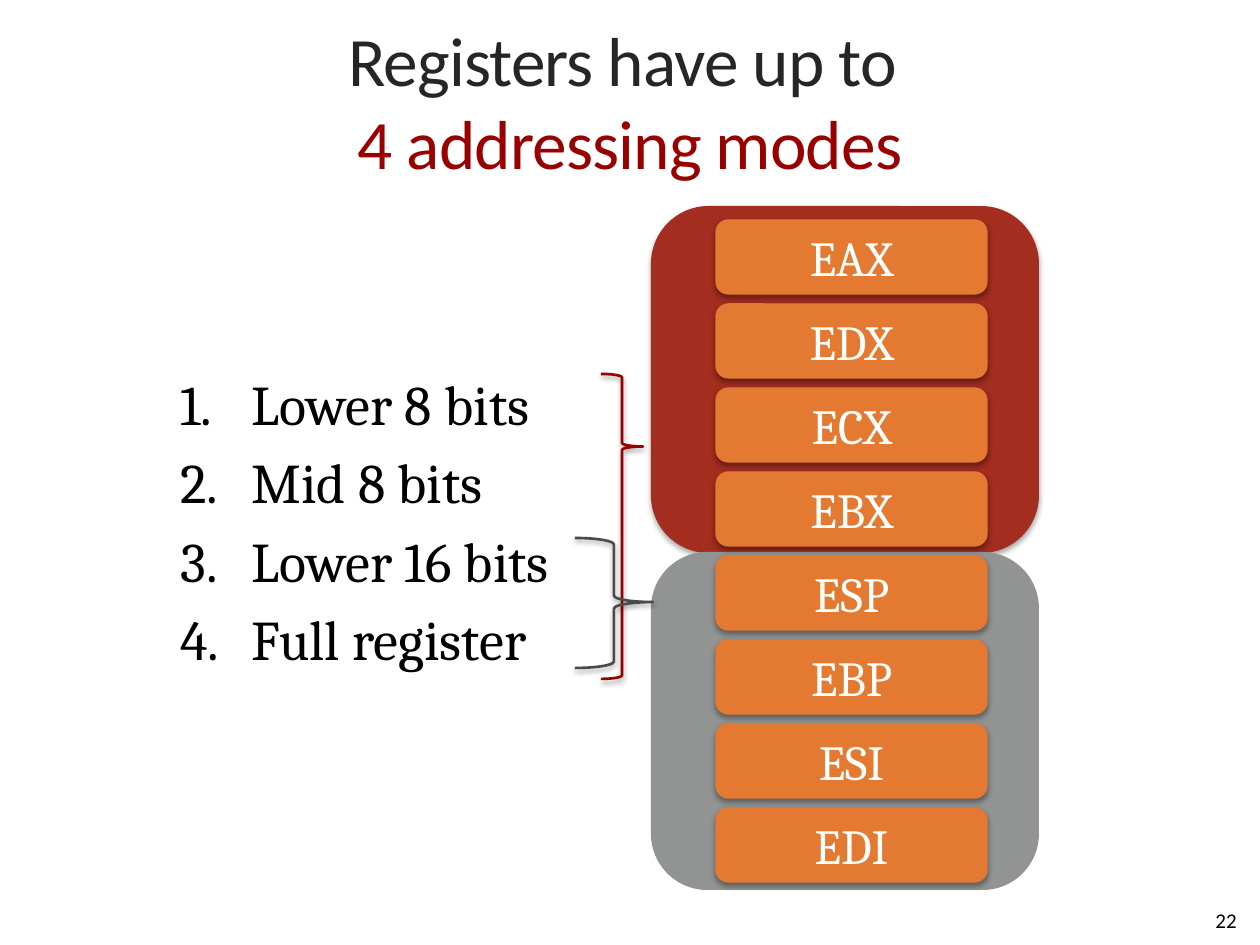
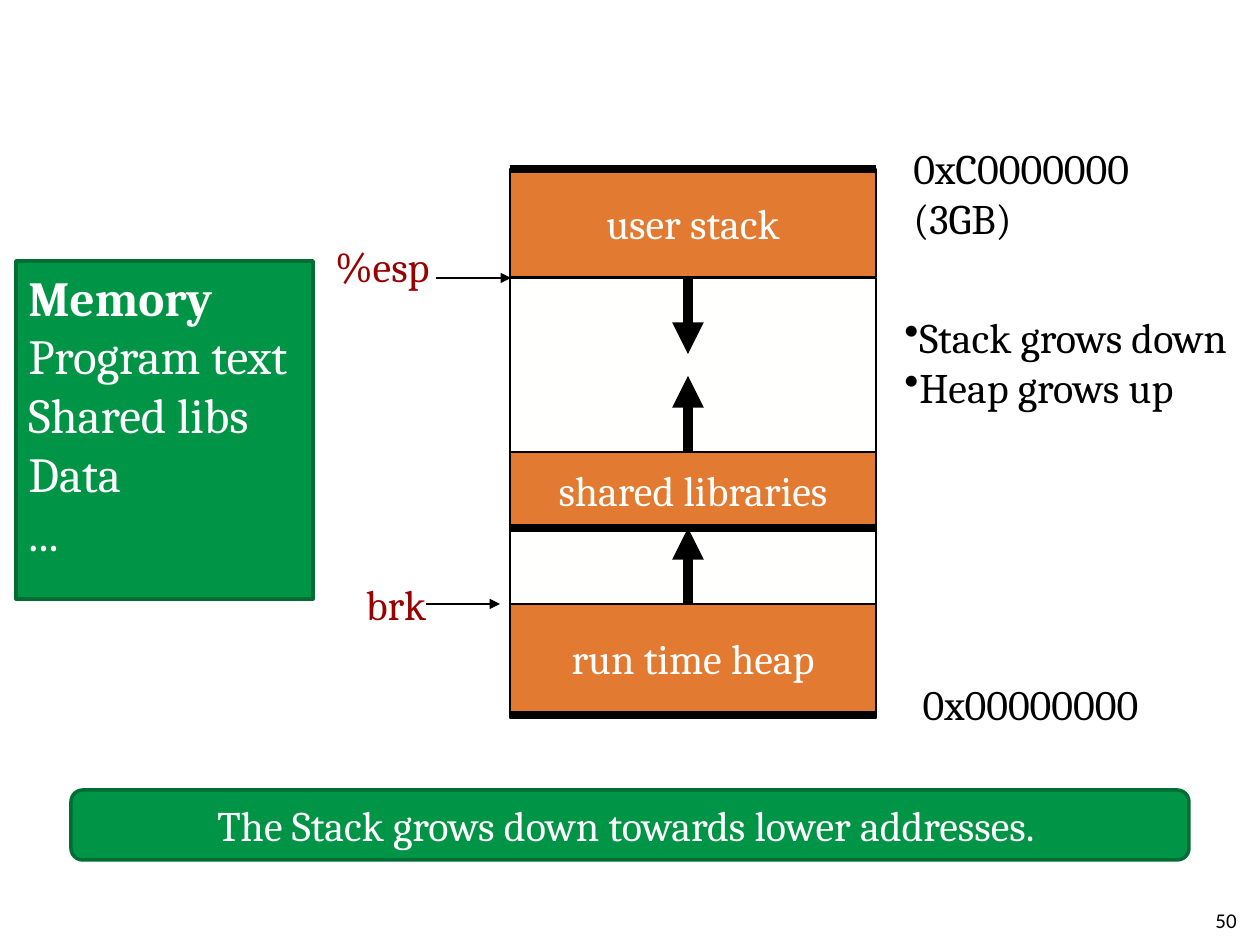
from lxml import etree
from pptx import Presentation
from pptx.dml.color import RGBColor
from pptx.enum.shapes import MSO_CONNECTOR, MSO_SHAPE
from pptx.enum.text import MSO_ANCHOR, PP_ALIGN
from pptx.oxml.ns import qn
from pptx.util import Emu, Pt

EMU_PER_PIXEL = 914400 / 126
SLIDE_SIZE = (1260, 945)

BLACK, WHITE, RED = "000000", "FFFFFE", "990000"
GREEN, DARK_GREEN = "009446", "006D34"
REGISTER_ORANGE, SEGMENT_ORANGE = "E47932", "E27A32"

TITLE = {"name": "Calibri", "size": Pt(39.6), "color": "262626"}
FOOTER = {"name": "Calibri", "size": Pt(12), "color": BLACK}
BODY = {"name": "Cambria", "size": Pt(32), "color": BLACK}
REGISTER = {**BODY, "size": Pt(28), "color": WHITE}
LABEL = {**BODY, "size": Pt(24)}
POINTER = {**LABEL, "color": RED}
SEGMENT = {**LABEL, "color": "FFFFFF"}
BANNER = {**LABEL, "color": WHITE}

MIDDLE = {"vertical_anchor": MSO_ANCHOR.MIDDLE}
CENTER = {"alignment": PP_ALIGN.CENTER}
RIGHT = {"alignment": PP_ALIGN.RIGHT}
GREEN_BOX = {"fill": GREEN, "line": (DARK_GREEN, 2)}

TITLE_RUNS = [("Registers have up to \n", {}), ("4 addressing modes", {"color": RED})]
MODES = ["Lower 8 bits", "Mid 8 bits", "Lower 16 bits", "Full register"]
REGISTERS = ["EAX", "EDX", "ECX", "EBX", "ESP", "EBP", "ESI", "EDI"]
REGISTER_TOP, REGISTER_PITCH = 220, 84
PANELS = [((651, 206, 388, 347), "A32D1F", 35), ((651, 552, 388, 338), "929393", None)]
BRACES = [
    ((601, 374, 42, 305), RED, 0.238, 38),
    ((575, 538, 78, 130), "494A4A", 0.493, 35),
]

MEMORY_LEFT, MEMORY_RIGHT, GROWTH_X = 510, 876, 688
SEGMENTS = [
    ("run time heap", 598, 718),
    ("shared libraries", 452, 528),
    ("user stack", 169, 277),
    ("", 528, 604),
    ("", 278, 452),
]
GROWTH_ARROWS = [(604, 528), (452, 376), (278, 354)]
BORDERS = [(714, 3), (528, 4.5), (169, 4.5)]
ADDRESSES = [
    ("0x00000000", (892, 672, 277, 63), CENTER),
    ("0xC0000000 (3GB)", (901, 136, 276, 115), {}),
]
POINTERS = [
    ("%esp", (314, 234, 137, 63), (436, 278, 511, 278)),
    ("brk", (346, 572, 100, 63), (426, 604, 500, 604)),
]
MEMORY_LINES = [[("Memory", {"bold": True})], "Program text\nShared libs", "Data", "..."]
GROWTH_NOTES = ["Stack grows down", "Heap grows up"]


def px(value):
    return Emu(round(value * EMU_PER_PIXEL))


def color(value):
    return RGBColor.from_string(value)


def set_values(target, values):
    for name, value in values.items():
        setattr(target, name, value)


def format_font(font, values):
    set_values(font, {name: value for name, value in values.items() if name != "color"})
    font.color.rgb = color(values["color"])


def write_text(shape, paragraphs, font, paragraph_format=None, frame_format=None,
               bullet=None, indent=0, gap=0, spacing=None):
    frame = shape.text_frame
    set_values(frame, {"word_wrap": True, "vertical_anchor": MSO_ANCHOR.TOP,
                       **(frame_format or {})})
    for index, content in enumerate(paragraphs):
        paragraph = frame.add_paragraph() if index else frame.paragraphs[0]
        set_values(paragraph, {"alignment": PP_ALIGN.LEFT, **(paragraph_format or {})})
        if index and gap:
            paragraph.space_before = Pt(gap)
        if bullet:
            properties = paragraph._p.get_or_add_pPr()
            properties.set("marL", str(px(indent)))
            properties.set("indent", str(-px(indent)))
            tag, attributes = bullet
            etree.SubElement(properties, qn(tag), attributes)
        runs = [(content, {})] if isinstance(content, str) else content
        for text, changes in runs:
            for piece_index, piece in enumerate(text.split("\n")):
                if piece_index:
                    paragraph.add_line_break()
                if piece:
                    run = paragraph.add_run()
                    run.text = piece
                    format_font(run.font, {**font, **changes})
                    if spacing:
                        run.font._element.set("spc", str(spacing))


def add_text(slide, box, paragraphs, font, **options):
    shape = slide.shapes.add_textbox(*map(px, box))
    write_text(shape, paragraphs, font, **options)
    return shape


def add_shadow(shape, opacity):
    effects = shape._element.spPr.find(qn("a:effectLst"))
    shadow = etree.SubElement(effects, qn("a:outerShdw"), {
        "blurRad": str(Pt(3.1)), "dist": str(Pt(1.8)), "dir": "5400000", "rotWithShape": "0"})
    shade = etree.SubElement(shadow, qn("a:srgbClr"), val=BLACK)
    etree.SubElement(shade, qn("a:alpha"), val=str(opacity * 1000))


def add_box(slide, kind, box, fill=None, line=None, shadow=None):
    shape = slide.shapes.add_shape(kind, *map(px, box))
    shape.shadow.inherit = False
    if fill:
        shape.fill.solid()
        shape.fill.fore_color.rgb = color(fill)
    else:
        shape.fill.background()
    if line:
        shape.line.color.rgb = color(line[0])
        shape.line.width = Pt(line[1])
    else:
        shape.line.fill.background()
    if shadow:
        add_shadow(shape, shadow)
    return shape


def add_line(slide, ends, width, arrow=False):
    connector = slide.shapes.add_connector(MSO_CONNECTOR.STRAIGHT, *map(px, ends))
    connector.line.color.rgb = color(BLACK)
    connector.line.width = Pt(width)
    if arrow:
        etree.SubElement(connector.line._get_or_add_ln(), qn("a:tailEnd"), type="triangle")
    etree.SubElement(connector._element.spPr, qn("a:effectLst"))


def add_slide(presentation, number):
    slide = presentation.slides.add_slide(presentation.slide_layouts[6])
    add_text(slide, (955, 895, 294, 50), [number], FOOTER,
             paragraph_format=RIGHT, frame_format=MIDDLE)
    return slide


def build_registers(presentation):
    slide = add_slide(presentation, "22")
    for box, fill, shadow in PANELS:
        add_box(slide, MSO_SHAPE.ROUNDED_RECTANGLE, box, fill, shadow=shadow)
    add_text(slide, (63, 21, 1134, 158), [TITLE_RUNS], TITLE, paragraph_format=CENTER,
             frame_format={**MIDDLE, "margin_left": 0, "margin_right": 0}, spacing=-50)
    add_text(slide, (168, 363, 1029, 466), MODES, BODY,
             bullet=("a:buAutoNum", {"type": "arabicPeriod"}), indent=71, gap=6.4)
    for index, name in enumerate(REGISTERS):
        box = (716, REGISTER_TOP + index * REGISTER_PITCH, 271, 74)
        register = add_box(slide, MSO_SHAPE.ROUNDED_RECTANGLE, box, REGISTER_ORANGE,
                           (REGISTER_ORANGE, 0.75), 35)
        write_text(register, [name], REGISTER, CENTER, MIDDLE)
    for box, line, tip, shadow in BRACES:
        brace = add_box(slide, MSO_SHAPE.RIGHT_BRACE, box, line=(line, 1.5), shadow=shadow)
        brace.adjustments[0] = 0.083
        brace.adjustments[1] = tip


def build_memory(presentation):
    slide = add_slide(presentation, "50")
    for name, top, bottom in SEGMENTS:
        box = (MEMORY_LEFT, top, MEMORY_RIGHT - MEMORY_LEFT, bottom - top)
        segment = add_box(slide, MSO_SHAPE.RECTANGLE, box,
                          SEGMENT_ORANGE if name else WHITE, (BLACK, 0.75))
        if name:
            write_text(segment, [name], SEGMENT, CENTER, {**MIDDLE, "word_wrap": False})
    for start, end in GROWTH_ARROWS:
        add_line(slide, (GROWTH_X, start, GROWTH_X, end), 6, arrow=True)
    for address, box, alignment in ADDRESSES:
        add_text(slide, box, [address], LABEL, paragraph_format=alignment)
    for name, box, ends in POINTERS:
        add_text(slide, box, [name], POINTER, paragraph_format=CENTER)
        add_line(slide, ends, 0.75, arrow=True)
    for y, width in BORDERS:
        add_line(slide, (MEMORY_LEFT, y, MEMORY_RIGHT, y), width)
    memory = add_box(slide, MSO_SHAPE.RECTANGLE, (16, 261, 297, 338), **GREEN_BOX)
    write_text(memory, MEMORY_LINES, REGISTER, frame_format={"word_wrap": False})
    add_text(slide, (892, 305, 378, 115), GROWTH_NOTES, LABEL,
             bullet=("a:buChar", {"char": "•"}))
    banner = add_box(slide, MSO_SHAPE.ROUNDED_RECTANGLE, (71, 790, 1118, 70), **GREEN_BOX)
    write_text(banner, ["The Stack grows down towards lower addresses. "], BANNER, CENTER)


def main():
    presentation = Presentation()
    presentation.slide_width, presentation.slide_height = map(px, SLIDE_SIZE)
    build_registers(presentation)
    build_memory(presentation)
    presentation.save("out.pptx")


if __name__ == "__main__":
    main()
